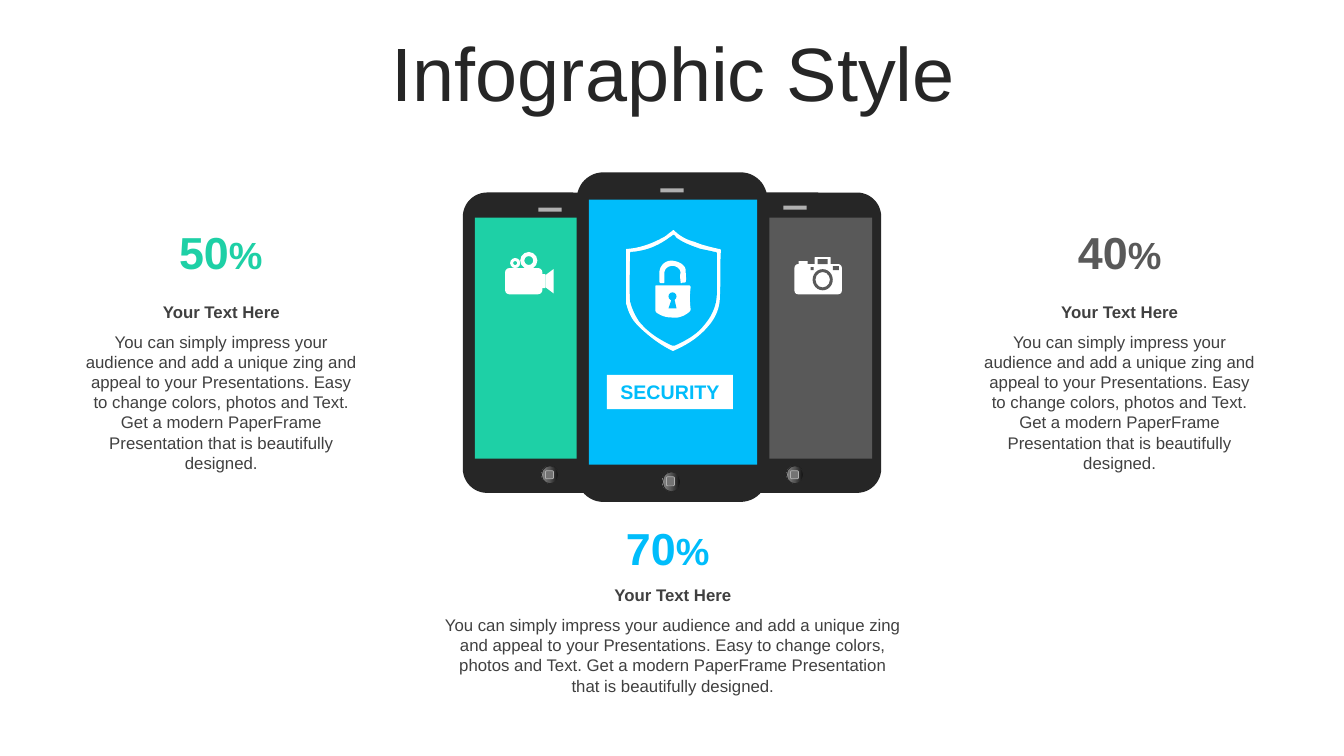
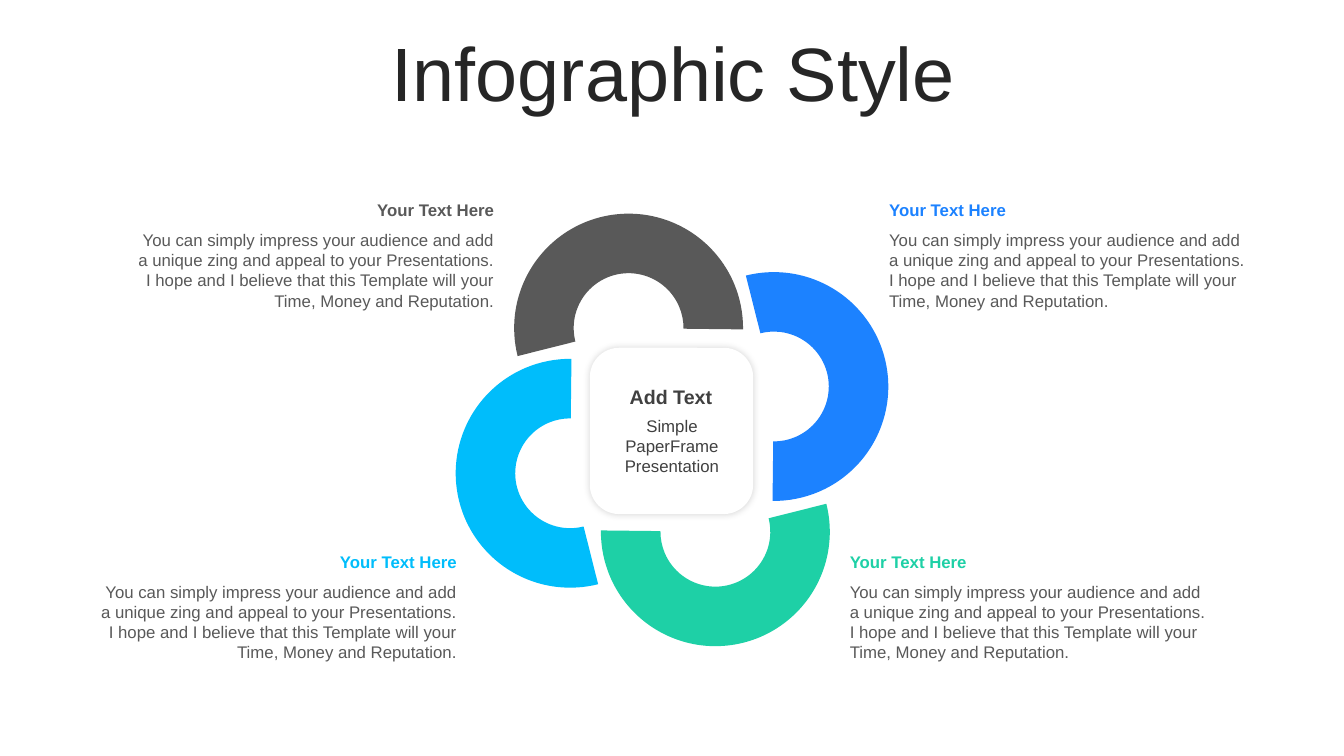
"""Build two infographic slides: a phone trio and a ring of four arcs."""
from lxml import etree
from pptx import Presentation
from pptx import util as u
from pptx.dml import color
from pptx.enum import shapes, text
from pptx.oxml import ns

PX = 9144
FONT = "Arial"
COLOURS = {
    "white": "FFFFFF", "ink": "262626", "text": "404040", "grey": "595959",
    "green": "1ED0A6", "cyan": "00BDFB", "blue": "1C82FF",
    "speaker": "B0B0B0", "button": "737373",
}
BUTTON_STOPS = [(0, "0F0F0F"), (56, "595959"), (91, "808080"), (100, "BFBFBF")]
SHAPE = shapes.MSO_SHAPE
ALIGN = text.PP_ALIGN
MIDDLE = text.MSO_ANCHOR.MIDDLE
IMPRESS = ("You can simply impress your audience and add a unique zing and appeal "
           "to your Presentations. ")
PHONE_TEXT = IMPRESS + ("Easy to change colors, photos and Text. Get a modern PaperFrame "
                        "Presentation that is beautifully designed.")
RING_TEXT = IMPRESS + ("I hope and I believe that this Template will your Time, "
                       "Money and Reputation.")


def px(*values):
    """Turn px lengths into EMU."""
    return [u.Emu(int(value * PX)) for value in values]


def rgb(name):
    """Look up a named colour."""
    return color.RGBColor.from_string(COLOURS[name])


def paint(shape, fill):
    """Give a shape a plain fill without line or shadow."""
    shape.shadow.inherit = False
    shape.fill.solid()
    shape.fill.fore_color.rgb = rgb(fill)
    shape.line.fill.background()
    return shape


def add_shape(page, kind, box, fill, *adjustments):
    """Add a plain preset shape."""
    shape = page.shapes.add_shape(kind, *px(*box))
    for index, value in enumerate(adjustments):
        shape.adjustments[index] = value
    return paint(shape, fill)


def add_outline(page, fill, start, *segments):
    """Add a closed outline of straight (x, y) and cubic (six numbers) segments."""
    points = [start]
    for segment in segments:
        if len(segment) == 2:
            points.append(segment)
            continue
        xs, ys = ((points[-1][axis], *segment[axis::2]) for axis in (0, 1))
        for step in range(1, 13):
            t = step / 12
            weights = ((1 - t) ** 3, 3 * t * (1 - t) ** 2, 3 * t * t * (1 - t), t ** 3)
            points.append(tuple(sum(w * v for w, v in zip(weights, values))
                                for values in (xs, ys)))
    scaled = [px(*point) for point in points]
    builder = page.shapes.build_freeform(*scaled[0])
    builder.add_line_segments(scaled[1:], close=True)
    return paint(builder.convert_to_shape(), fill)


def style(para, size, colour, bold=False, align=ALIGN.LEFT):
    """Set the font and alignment of a paragraph."""
    para.alignment = align
    para.font.name = FONT
    para.font.size = u.Pt(size)
    para.font.bold = bold
    para.font.color.rgb = rgb(colour)


def add_text(page, box, words, size, colour, bold=False, align=ALIGN.LEFT):
    """Add a wrapping text box with one paragraph."""
    frame = page.shapes.add_textbox(*px(*box)).text_frame
    frame.word_wrap = True
    para = frame.paragraphs[0]
    para.text = words
    style(para, size, colour, bold, align)
    return frame


def add_title(page, words):
    """Add the slide title."""
    frame = add_text(page, (35, 37, 1266, 79), words, 54, "ink", align=ALIGN.CENTER)
    frame.vertical_anchor = MIDDLE
    frame.paragraphs[0].line_spacing = 0.9


def add_caption(page, box, words, heading_colour, colour, align):
    """Add a bold heading with body text below it."""
    left, top, width, height = box
    add_text(page, (left, top, width, 30), "Your Text Here", 12, heading_colour, True, align)
    add_text(page, (left, top + 30, width, height), words, 12, colour, align=align)


def add_percent(page, box, number, colour, align=ALIGN.CENTER):
    """Add a large number with a smaller percent sign."""
    frame = add_text(page, box, "", 32, colour, True, align)
    frame.vertical_anchor = MIDDLE
    para = frame.paragraphs[0]
    para.add_run().text = number
    sign = para.add_run()
    sign.text = "%"
    sign.font.size = u.Pt(27)


def add_home_button(page, box):
    """Add a round home button with its small square mark."""
    left, top, width, height = box
    button = add_shape(page, SHAPE.OVAL, box, "grey")
    button.fill.gradient()
    button.fill.gradient_angle = 180
    stops = button.element.spPr.find(".//" + ns.qn("a:gsLst"))
    for stop in list(stops):
        stops.remove(stop)
    for position, value in BUTTON_STOPS:
        stop = etree.SubElement(stops, ns.qn("a:gs"), pos=str(position * 1000))
        etree.SubElement(stop, ns.qn("a:srgbClr"), val=value)
    button.line.color.rgb = rgb("ink")
    button.line.width = u.Pt(0)
    mark = add_shape(page, SHAPE.ROUNDED_RECTANGLE,
                     (left + 4, top + 5, 8, height // 2 - 1), "button")
    mark.line.color.rgb = rgb("speaker")
    mark.line.width = u.Pt(0.5)


def add_phone(page, body, speaker, button, screen, colour):
    """Add a phone with speaker, home button and coloured screen."""
    add_shape(page, SHAPE.ROUNDED_RECTANGLE, body, "ink", 0.14)
    add_shape(page, SHAPE.RECTANGLE, (*speaker, 23, 4), "speaker")
    add_home_button(page, button)
    add_shape(page, SHAPE.RECTANGLE, screen, colour)


def add_video_icon(page):
    """Draw the film camera."""
    add_shape(page, SHAPE.ROUNDED_RECTANGLE, (501, 266, 37, 26), "white", 0.16)
    add_shape(page, SHAPE.RECTANGLE, (537, 272, 4, 14), "white")
    add_outline(page, "white", (541, 273), (549, 267), (549, 291), (541, 285))
    add_shape(page, SHAPE.DONUT, (506, 256, 10, 10), "white", 0.3)
    add_shape(page, SHAPE.DONUT, (516, 250, 17, 17), "white", 0.24)


def add_photo_icon(page):
    """Draw the photo camera."""
    add_shape(page, SHAPE.ROUNDED_RECTANGLE, (788, 262, 47, 30), "white", 0.12)
    add_shape(page, SHAPE.ROUNDED_RECTANGLE, (808, 255, 16, 10), "white", 0.1)
    add_shape(page, SHAPE.RECTANGLE, (792, 259, 9, 4), "white")
    for box in ((811, 257, 10, 5), (804, 265, 3, 3), (826, 264, 6, 4)):
        add_shape(page, SHAPE.RECTANGLE, box, "grey")
    add_shape(page, SHAPE.DONUT, (806, 267, 20, 21), "grey", 0.14)


def add_shield_icon(page):
    """Draw the shield with its padlock."""
    add_outline(page, "white", (621, 273), (621, 248), (621, 247, 621, 247, 622, 247),
                (636, 246, 648, 241, 659, 235), (662, 233, 664, 231, 667, 229),
                (668, 228, 668, 228, 669, 229), (674, 234, 681, 238, 689, 240),
                (696, 243, 704, 245, 713, 247), (714, 247, 715, 247, 715, 249),
                (714, 264, 715, 280, 714, 295), (714, 305, 710, 315, 703, 323),
                (694, 334, 682, 342, 668, 348), (667, 348),
                (652, 341, 637, 328, 630, 320), (624, 313, 622, 304, 621, 301))
    add_outline(page, "cyan", (711, 252), (711, 259, 711, 277, 711, 291),
                (711, 304, 705, 315, 698, 323), (691, 332, 680, 338, 669, 343),
                (667, 343), (654, 337, 643, 330, 634, 319),
                (630, 313, 627, 307, 625, 299), (624, 288, 625, 260, 625, 252),
                (625, 251, 625, 250, 626, 250), (641, 249, 653, 244, 665, 235),
                (666, 235, 667, 233, 668, 233), (669, 233, 670, 235, 671, 236),
                (678, 241, 686, 244, 695, 247), (700, 248, 705, 249, 709, 250),
                (711, 250, 711, 251, 711, 252))
    add_outline(page, "white", (651, 283), (683, 283), (684, 283, 685, 284, 685, 285),
                (684, 292, 684, 299, 685, 307), (685, 308, 684, 309, 683, 310),
                (678, 314, 672, 316, 666, 315), (660, 315, 655, 313, 651, 310),
                (650, 309, 650, 308, 650, 307), (650, 285),
                (650, 284, 650, 283, 651, 283))
    add_shape(page, SHAPE.OVAL, (663, 290, 8, 8), "cyan")
    add_outline(page, "cyan", (666, 297), (663, 306), (671, 306), (669, 297))
    add_outline(page, "white", (680, 268), (680, 271, 681, 278, 680, 280),
                (678, 281, 677, 280, 676, 281), (675, 281, 675, 280, 675, 280),
                (675, 277, 674, 274, 675, 271), (675, 267, 672, 265, 669, 264),
                (664, 263, 659, 266, 659, 271), (659, 279),
                (659, 280, 659, 281, 658, 281), (654, 281, 654, 281, 654, 277),
                (654, 271), (654, 263, 661, 257, 669, 259),
                (675, 260, 680, 264, 680, 268))


def build_phones(page):
    """Build the slide with three phones."""
    add_title(page, "Infographic Style")
    add_phone(page, (702, 191, 172, 298), (777, 204), (780, 462, 17, 18),
              (763, 216, 102, 239), "grey")
    add_phone(page, (459, 191, 172, 298), (534, 206), (537, 462, 17, 18),
              (471, 216, 102, 239), "green")
    add_phone(page, (572, 171, 189, 327), (655, 187), (657, 468, 18, 20),
              (584, 198, 167, 263), "cyan")
    add_percent(page, (160, 218, 118, 64), "50", "green")
    add_percent(page, (1055, 218, 111, 64), "40", "grey")
    add_percent(page, (611, 511, 111, 64), "70", "cyan", ALIGN.LEFT)
    for box in ((74, 294, 291, 151), (965, 294, 291, 151), (431, 575, 473, 91)):
        add_caption(page, box, PHONE_TEXT, "text", "text", ALIGN.CENTER)
    label = add_shape(page, SHAPE.RECTANGLE, (602, 372, 125, 34), "white")
    label.text_frame.vertical_anchor = MIDDLE
    para = label.text_frame.paragraphs[0]
    para.text = "SECURITY"
    style(para, 14, "cyan", True, ALIGN.CENTER)
    add_photo_icon(page)
    add_video_icon(page)
    add_shield_icon(page)


def add_glow(shape):
    """Add a faint soft shadow all around a shape."""
    effects = shape.element.spPr.find(ns.qn("a:effectLst"))
    shadow = etree.SubElement(effects, ns.qn("a:outerShdw"), blurRad=str(u.Pt(5)),
                              dist="0", dir="0", algn="ctr", rotWithShape="0")
    black = etree.SubElement(shadow, ns.qn("a:srgbClr"), val="000000")
    etree.SubElement(black, ns.qn("a:alpha"), val="14000")


def build_ring(page):
    """Build the slide with four arcs around a card."""
    add_title(page, "Infographic Style")
    dx, dy = 101, -43
    for turn, colour in enumerate(("blue", "green", "cyan", "grey")):
        arc = add_shape(page, SHAPE.BLOCK_ARC, (553 + dx, 313 + dy, 227, 227),
                        colour, 113.3, 14.19, 0.26)
        arc.rotation = 67 + 90 * turn
        dx, dy = -dy, dx
    add_glow(add_shape(page, SHAPE.ROUNDED_RECTANGLE, (585, 345, 162, 165), "white", 0.18))
    for left, top, colour, align in (
            (872, 193, "blue", ALIGN.LEFT), (833, 542, "green", ALIGN.LEFT),
            (126, 193, "grey", ALIGN.RIGHT), (89, 542, "cyan", ALIGN.RIGHT)):
        add_caption(page, (left, top, 374, 91), RING_TEXT, colour, "grey", align)
    add_text(page, (607, 377, 117, 34), "Add Text", 14, "text", True, ALIGN.CENTER)
    add_text(page, (608, 407, 117, 71), "Simple PaperFrame Presentation", 12, "text",
             align=ALIGN.CENTER)


def main():
    """Build and save the deck."""
    deck = Presentation()
    deck.slide_width, deck.slide_height = px(1333, 750)
    for build in (build_phones, build_ring):
        build(deck.slides.add_slide(deck.slide_layouts[6]))
    deck.save("out.pptx")


if __name__ == "__main__":
    main()
